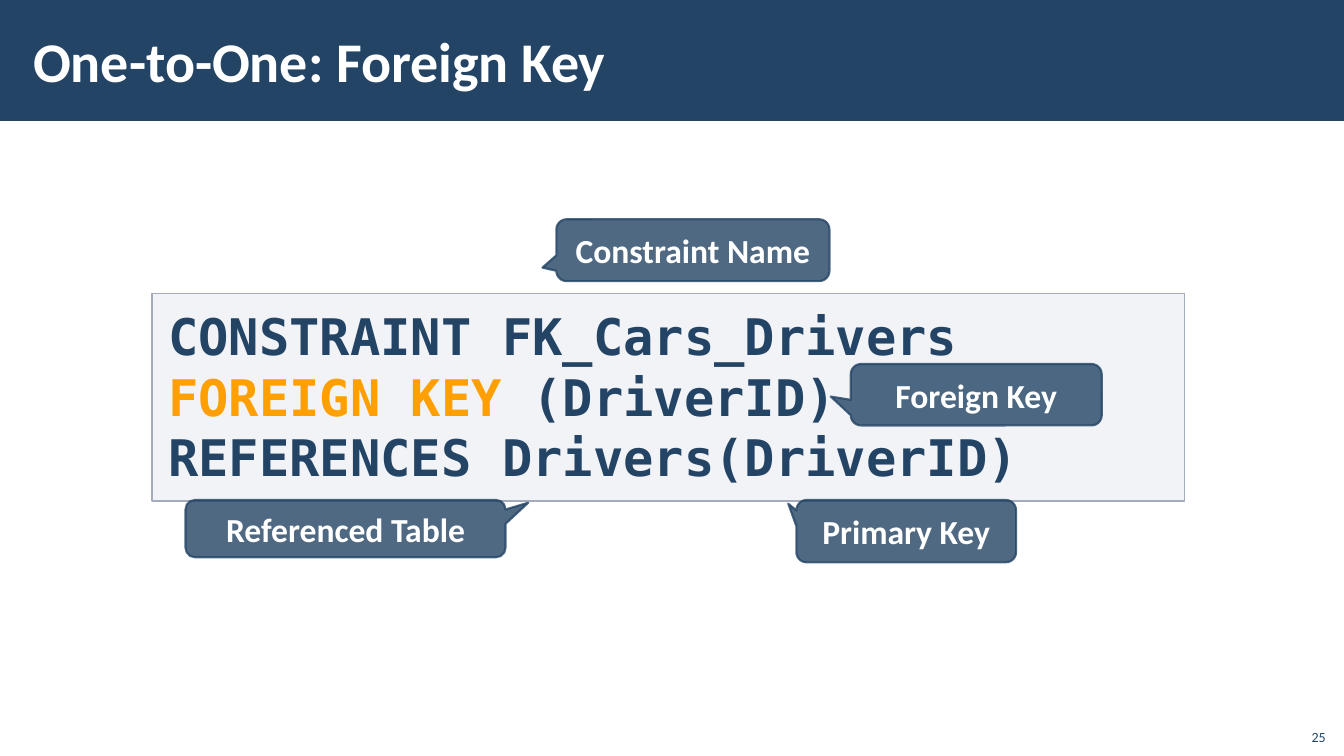
from lxml import etree
from pptx import Presentation
from pptx.dml.color import RGBColor
from pptx.enum.shapes import MSO_SHAPE as Shape
from pptx.enum.text import MSO_ANCHOR as Anchor, MSO_AUTO_SIZE as AutoSize, PP_ALIGN as Align
from pptx.oxml.ns import qn
from pptx.util import Pt

NAVY = RGBColor(0x23, 0x44, 0x65)
ORANGE = RGBColor(0xFF, 0xA0, 0x00)
PALE = RGBColor(0xC2, 0xC7, 0xD2)
BORDER = RGBColor(0xA3, 0xAB, 0xBC)
WHITE = RGBColor(0xFF, 0xFF, 0xFF)


def add_run(paragraph, text, size, color, bold=True, font_name="Calibri"):
    run = paragraph.add_run()
    run.text = text
    run.font.name = font_name
    run.font.size = Pt(size)
    run.font.bold = bold
    run.font.color.rgb = color


def set_opacity(shape, percent):
    """Apply an opacity to every solid colour of the shape's fill and line."""
    for color in shape._element.spPr.iter(qn("a:srgbClr")):
        etree.SubElement(color, qn("a:alpha"), val=str(percent * 1000))


presentation = Presentation()
presentation.slide_width = Pt(960)
presentation.slide_height = Pt(540)
slide = presentation.slides.add_slide(presentation.slide_layouts[5])
shapes = slide.shapes

# Title banner, placed behind the title
banner = shapes.add_shape(Shape.RECTANGLE, 0, 0, Pt(960), Pt(86.4))
banner.shadow.inherit = False
banner.fill.solid()
banner.fill.fore_color.rgb = NAVY
banner.line.fill.background()
title = shapes.title
title._element.addprevious(banner._element)

title.left, title.top, title.width, title.height = Pt(15.1), Pt(7.9), Pt(765.4), Pt(69.8)
frame = title.text_frame
frame.auto_size = AutoSize.NONE
frame.vertical_anchor = Anchor.MIDDLE
frame.margin_left = frame.margin_right = Pt(8.5)
frame.margin_top = frame.margin_bottom = Pt(2.9)
frame.paragraphs[0].alignment = Align.LEFT
add_run(frame.paragraphs[0], "One-to-One: Foreign Key", 40, WHITE)

# Code panel
panel = shapes.add_shape(Shape.RECTANGLE, Pt(108.7), Pt(209.5), Pt(737.3), Pt(148.3))
panel.shadow.inherit = False
panel.fill.solid()
panel.fill.fore_color.rgb = PALE
set_opacity(panel, 20)
panel.line.color.rgb = BORDER
panel.line.width = Pt(1)
frame = panel.text_frame
frame.word_wrap = True
frame.vertical_anchor = Anchor.TOP
frame.margin_left = frame.margin_right = Pt(11.5)
frame.margin_top = frame.margin_bottom = Pt(8.6)
code = frame.paragraphs[0]
code.alignment = Align.LEFT
code.line_spacing = 1.0
code_lines = [
    [("CONSTRAINT FK_Cars_Drivers", NAVY)],
    [("FOREIGN KEY ", ORANGE), ("(DriverID)", NAVY)],
    [("REFERENCES Drivers(DriverID)", NAVY)],
]
for index, parts in enumerate(code_lines):
    if index:
        code.add_line_break()
    for text, color in parts:
        add_run(code, text, 36, color, font_name="DejaVu Sans Mono")

# Callouts: text, left, top, width, height, tip offset x and y
callouts = [
    ("Primary Key", 568.8, 357.1, 157, 44.6, -0.537, -0.441),
    ("Foreign Key", 607.7, 260, 179.3, 43.9, -0.58, 0.03),
    ("Constraint Name", 397.4, 156.6, 195.1, 44.2, -0.551, 0.282),
    ("Referenced Table", 132.5, 357.1, 228.6, 41, 0.571, -0.451),
]
for text, left, top, width, height, tip_x, tip_y in callouts:
    callout = shapes.add_shape(
        Shape.ROUNDED_RECTANGULAR_CALLOUT, Pt(left), Pt(top), Pt(width), Pt(height))
    callout.adjustments[0] = tip_x
    callout.adjustments[1] = tip_y
    callout.shadow.inherit = False
    callout.fill.solid()
    callout.fill.fore_color.rgb = NAVY
    callout.line.color.rgb = NAVY
    callout.line.width = Pt(1.5)
    set_opacity(callout, 80)
    frame = callout.text_frame
    frame.word_wrap = True
    frame.vertical_anchor = Anchor.MIDDLE
    frame.paragraphs[0].alignment = Align.CENTER
    add_run(frame.paragraphs[0], text, 24, WHITE)

# Page number
page_number = shapes.add_textbox(Pt(925.2), Pt(512.6), Pt(28.8), Pt(23))
frame = page_number.text_frame
frame.word_wrap = True
frame.vertical_anchor = Anchor.BOTTOM
frame.paragraphs[0].alignment = Align.RIGHT
add_run(frame.paragraphs[0], "25", 10, NAVY, bold=False)

presentation.save("out.pptx")
